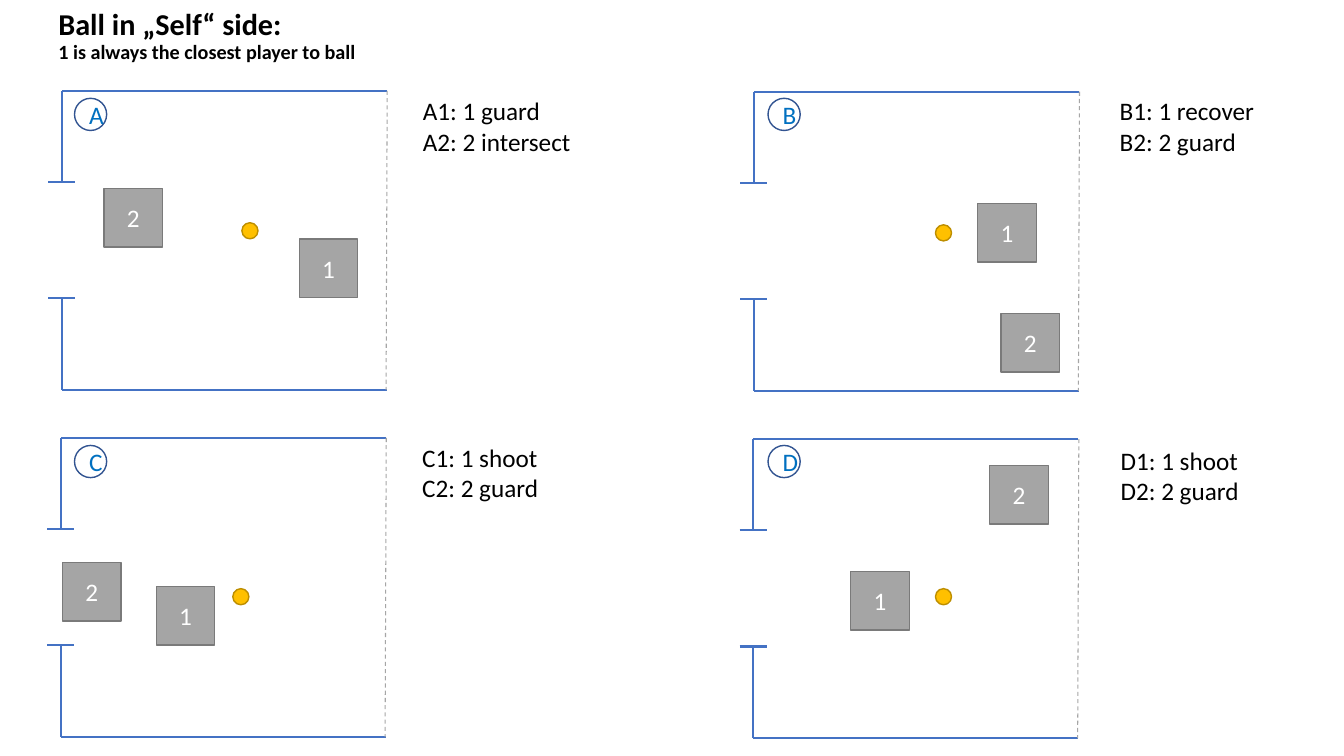
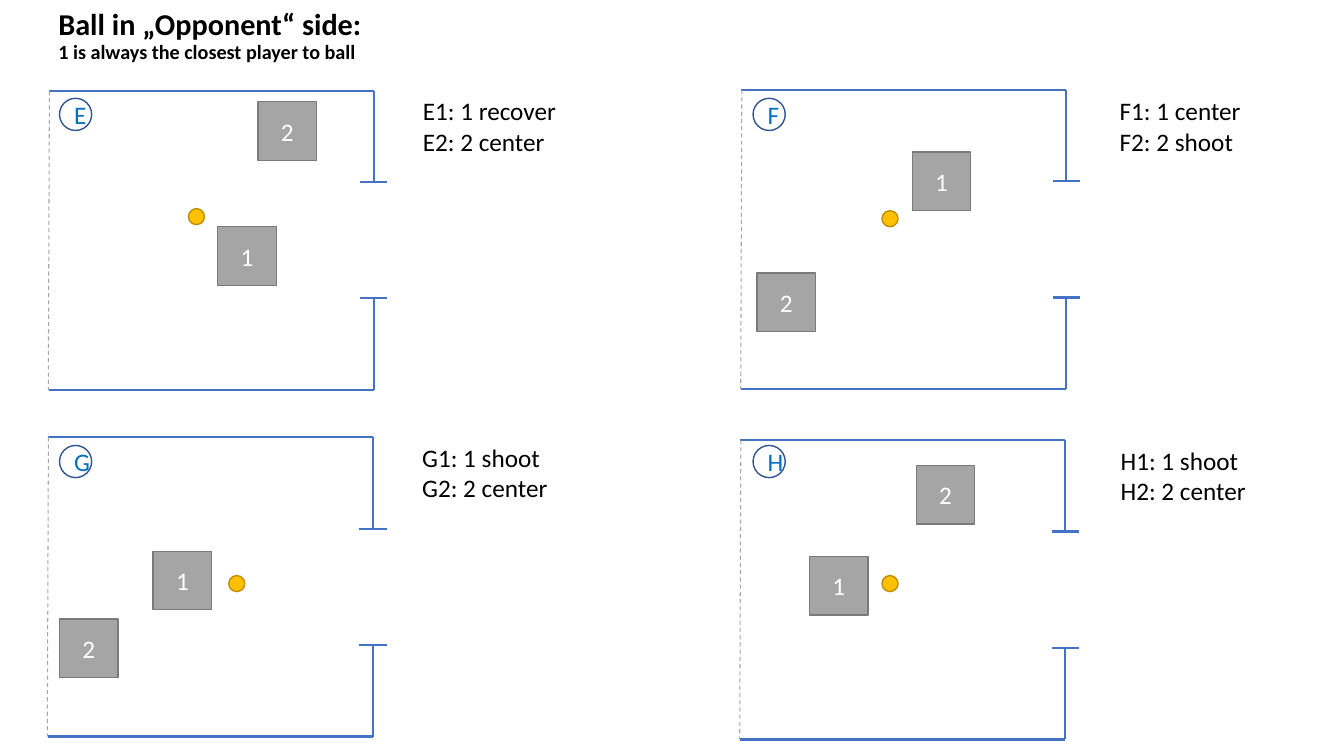
"""Build two slides of pitch diagrams that show the roles of both players."""
from lxml import etree
from pptx import Presentation
from pptx.dml.color import RGBColor
from pptx.enum import dml, shapes, text
from pptx.oxml import ns
from pptx.util import Pt

COLORS = {
    "title": "000000", "pitch": "4472C4", "midline": "A6A6A6",
    "badge_line": "325491", "badge_text": "0070C0",
    "ball": "FFC000", "ball_line": "BD8E00",
    "player": "A5A5A5", "player_line": "7A7A7A", "player_text": "FFFFFF",
}
BODY = {"name": "Calibri", "size": Pt(18), "bold": False}
TITLE = {"name": "Calibri", "size": Pt(21.6), "bold": True}
SUBTITLE = {**TITLE, "size": Pt(14.4)}
SUBTITLE_TEXT = "1 is always the closest player to ball"

PITCH_W, PITCH_H = 232.2, 213.8
POSTS = (65.3, 148.2)
POST_HALF = 9.7
BADGE, BALL, PLAYER = 23, 11.5, 41.8
COLUMN_STEP = 495.4
BADGE_TOPS = (70.2, 318.2)
NOTES = [(295, 64.8), (792.7, 64.8), (294.5, 312.5), (793.4, 314.6)]

SLIDES = [
    {"title": "Ball in „Self“ side:", "toward_mid": 1, "badge_x": 53.2, "pitches": [
        {"name": "A", "goal": (44, 64.9), "ball": (172.8, 159.1),
         "players": [(213.8, 170.6), (74.2, 134.6)], "roles": ["guard", "intersect"]},
        {"name": "B", "goal": (538.5, 65.5), "ball": (668.2, 160.6),
         "players": [(698.4, 145.4), (715, 223.9)], "roles": ["recover", "guard"]},
        {"name": "C", "goal": (43.3, 312.8), "ball": (166.3, 420.5),
         "players": [(111.6, 419), (44.6, 401.8)], "roles": ["shoot", "guard"]},
        {"name": "D", "goal": (538, 313.6), "ball": (668.2, 420.5),
         "players": [(607.7, 408.2), (707, 332.6)], "roles": ["shoot", "guard"]},
    ]},
    {"title": "Ball in „Opponent“ side:", "toward_mid": -1, "badge_x": 42.5, "pitches": [
        {"name": "E", "goal": (267.1, 64.9), "ball": (134.6, 149),
         "players": [(155.5, 162), (184.3, 72.7)], "roles": ["recover", "center"]},
        {"name": "F", "goal": (761.7, 64.3), "ball": (630, 150.5),
         "players": [(651.6, 108.7), (540.7, 195.1)], "roles": ["center", "shoot"]},
        {"name": "G", "goal": (266.4, 312.3), "ball": (163.4, 411.1),
         "players": [(109.4, 393.8), (42.5, 442.1)], "roles": ["shoot", "center"]},
        {"name": "H", "goal": (761, 314.4), "ball": (630, 411.1),
         "players": [(578.2, 397.4), (654.5, 332.6)], "roles": ["shoot", "center"]},
    ]},
]


def add_run(p, content, fmt, color):
    r = p.add_run()
    r.text = content
    for key, value in fmt.items():
        setattr(r.font, key, value)
    r.font.color.rgb = RGBColor.from_string(COLORS[color])


def add_marker(slide, kind, at, size, line, fill=None, label="", color="title"):
    sp = slide.shapes.add_shape(kind, Pt(at[0]), Pt(at[1]), Pt(size), Pt(size))
    sp.shadow.inherit = False
    if fill:
        sp.fill.solid()
        sp.fill.fore_color.rgb = RGBColor.from_string(COLORS[fill])
    else:
        sp.fill.background()
    sp.line.color.rgb = RGBColor.from_string(COLORS[line])
    sp.line.width = Pt(1)
    if label:
        p = sp.text_frame.paragraphs[0]
        p.alignment = text.PP_ALIGN.CENTER
        add_run(p, label, BODY, color)


prs = Presentation()
prs.slide_width, prs.slide_height = Pt(960), Pt(540)

for page in SLIDES:
    slide = prs.slides.add_slide(prs.slide_layouts[6])
    tf = slide.shapes.add_textbox(Pt(34.6), Pt(12.2), Pt(828), Pt(28.1)).text_frame
    tf.word_wrap = True
    tf.vertical_anchor = text.MSO_ANCHOR.MIDDLE
    p = tf.paragraphs[0]
    p.line_spacing = 0.9
    add_run(p, page["title"], TITLE, "title")
    p.add_line_break()
    add_run(p, SUBTITLE_TEXT, SUBTITLE, "title")

    for i, pitch in enumerate(page["pitches"]):
        row, col = divmod(i, 2)
        goal, top = pitch["goal"]
        mid, bottom = goal + page["toward_mid"] * PITCH_W, top + PITCH_H
        upper, lower = (top + y for y in POSTS)
        segments = [
            (mid, top, goal, top), (goal, top, goal, upper),
            (goal, lower, goal, bottom), (goal, bottom, mid, bottom),
        ]
        segments += [(goal - POST_HALF, y, goal + POST_HALF, y) for y in (upper, lower)]
        segments.append((mid + 0.4, top, mid - 0.4, bottom))
        group = slide.shapes.add_group_shape()
        for segment in segments:
            dashed = segment is segments[-1]
            line = group.shapes.add_connector(
                shapes.MSO_CONNECTOR.STRAIGHT, *(Pt(v) for v in segment))
            line.line.color.rgb = RGBColor.from_string(COLORS["midline" if dashed else "pitch"])
            line.line.width = Pt(0.75 if dashed else 1.5)
            if dashed:
                line.line.dash_style = dml.MSO_LINE.DASH
            etree.SubElement(line._element.spPr, ns.qn("a:effectLst"))

        badge_at = (page["badge_x"] + col * COLUMN_STEP, BADGE_TOPS[row])
        add_marker(slide, shapes.MSO_SHAPE.OVAL, badge_at, BADGE, "badge_line",
                   label=pitch["name"], color="badge_text")
        add_marker(slide, shapes.MSO_SHAPE.OVAL, pitch["ball"], BALL, "ball_line", "ball")
        for number, at in enumerate(pitch["players"], 1):
            add_marker(slide, shapes.MSO_SHAPE.RECTANGLE, at, PLAYER, "player_line",
                       "player", str(number), "player_text")

        x, y = NOTES[i]
        tf = slide.shapes.add_textbox(Pt(x), Pt(y), Pt(126), Pt(51)).text_frame
        tf.word_wrap = True
        for number, role in enumerate(pitch["roles"], 1):
            p = tf.paragraphs[0] if number == 1 else tf.add_paragraph()
            add_run(p, f"{pitch['name']}{number}: {number} {role}", BODY, "title")

prs.save("out.pptx")
